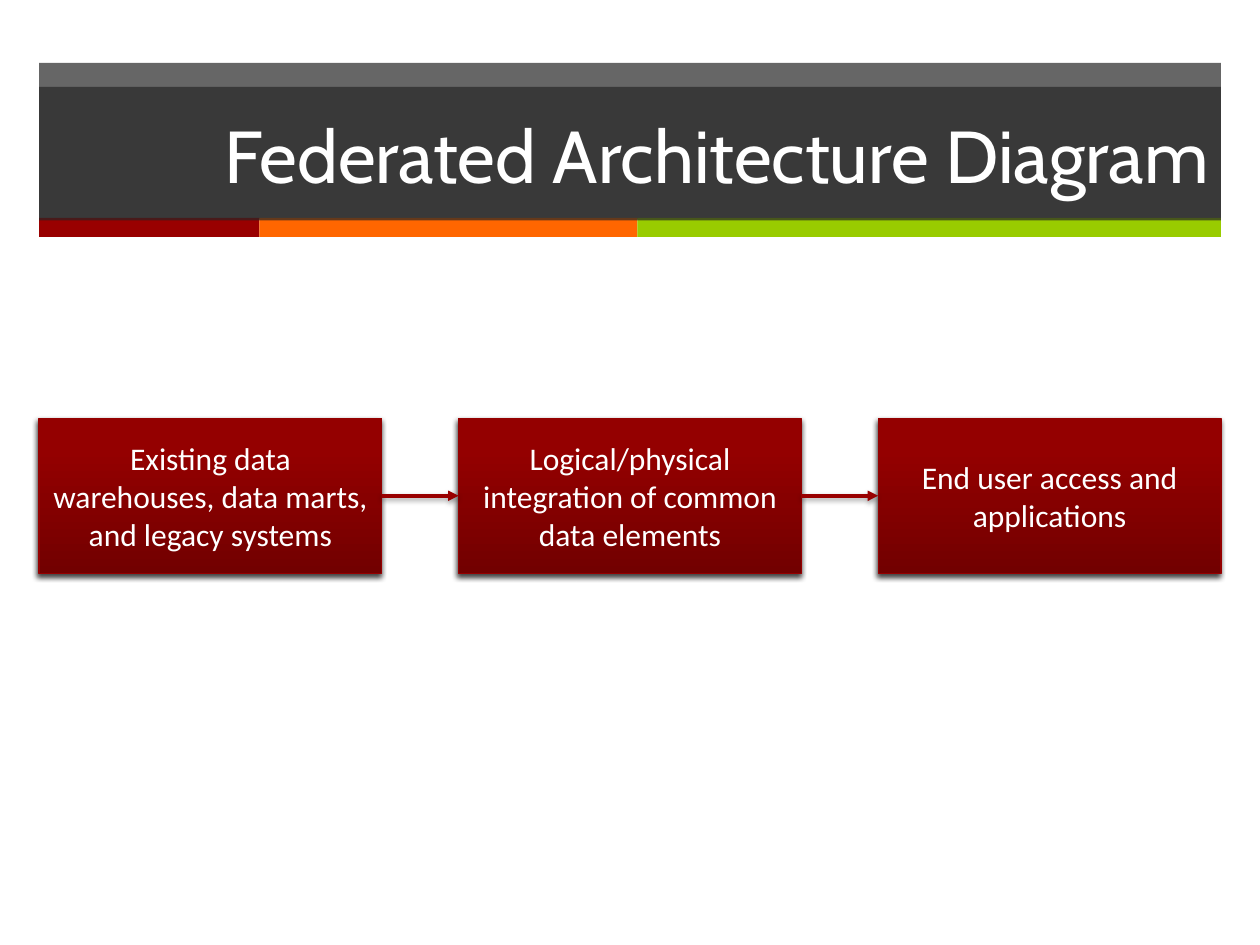
from pptx import Presentation
from pptx.dml.color import RGBColor
from pptx.enum.shapes import MSO_CONNECTOR, MSO_SHAPE
from pptx.enum.text import MSO_ANCHOR, PP_ALIGN
from pptx.oxml import parse_xml
from pptx.oxml.ns import nsdecls
from pptx.util import Inches, Pt


def paint(fill, color, alpha=100):
    """Give a fill one hex colour, with its opacity in percent."""
    fill.solid()
    fill.fore_color.rgb = RGBColor.from_string(color)
    if alpha < 100:
        color_node = fill._xPr.find(".//{*}srgbClr")
        color_node.append(parse_xml(f'<a:alpha {nsdecls("a")} val="{alpha * 1000}"/>'))


def write(shape, text, font, size, align):
    """Put white, vertically centred, wrapped text in a shape."""
    frame = shape.text_frame
    frame.text = text
    frame.word_wrap = True
    frame.vertical_anchor = MSO_ANCHOR.MIDDLE
    para = frame.paragraphs[0]
    para.alignment = align
    span = para.runs[0]
    span.font.name, span.font.size = font, Pt(size)
    span.font.color.rgb = RGBColor.from_string("FFFFFF")


SHADOW = (
    '<a:effectLst {ns}><a:outerShdw blurRad="{blur}" dist="{dist}" dir="{angle}" rotWithShape="0">'
    '<a:srgbClr val="000000"><a:alpha val="{alpha}"/></a:srgbClr></a:outerShdw></a:effectLst>'
)
BOX_SHADOW = SHADOW.format(ns=nsdecls("a"), blur=Pt(3), dist=Pt(2), angle=110 * 60000, alpha=75000)
ARROW_SHADOW = SHADOW.format(ns=nsdecls("a"), blur=Pt(3.1), dist=Pt(1.6), angle=90 * 60000, alpha=38000)
GRADIENT = (
    f'<a:gradFill {nsdecls("a")} rotWithShape="1"><a:gsLst>'
    '<a:gs pos="0"><a:srgbClr val="720000"/></a:gs>'
    '<a:gs pos="80000"><a:srgbClr val="940000"/></a:gs>'
    '<a:gs pos="100000"><a:srgbClr val="950000"/></a:gs>'
    '</a:gsLst><a:lin ang="16200000" scaled="0"/></a:gradFill>'
)

deck = Presentation()
deck.slide_width, deck.slide_height = Inches(10), Inches(7.5)
page = deck.slides.add_slide(deck.slide_layouts[5])
shapes = page.shapes
margin = 0.31
content_width = 10 - 2 * margin

# Header: a dark band, three colour strips, and the title over both
bands = [
    (margin, 0.5, content_width, 1.24, "262626", 70),
    (margin, 1.73, 1.75, 0.15, "990000", 100),
    (2.06, 1.73, 3, 0.15, "FF6600", 100),
    (5.06, 1.73, 4.63, 0.15, "99CC00", 100),
]
for left, top, width, height, color, alpha in bands:
    band = shapes.add_shape(MSO_SHAPE.RECTANGLE, *map(Inches, (left, top, width, height)))
    band.shadow.inherit = False
    band.line.fill.background()
    paint(band.fill, color, alpha)

title = shapes.title
title.left, title.top = Inches(margin), Inches(0.69)
title.width, title.height = Inches(content_width), Inches(1.06)
paint(title.fill, "262626", 70)
write(title, "Federated Architecture Diagram", "Cabin", 42, PP_ALIGN.RIGHT)
shapes._spTree.append(title._element)

# Flow: three equal boxes spread over the content width
steps = [
    "Existing data warehouses, data marts, and legacy systems",
    "Logical/physical integration of common data elements",
    "End user access and applications",
]
box_width, box_height, box_top = 2.72, 1.23, 3.32
pitch = (content_width - box_width) / (len(steps) - 1)
boxes = []
for column, step in enumerate(steps):
    box = shapes.add_shape(
        MSO_SHAPE.RECTANGLE, Inches(margin + column * pitch), Inches(box_top),
        Inches(box_width), Inches(box_height))
    box.line.color.rgb = RGBColor.from_string("950000")
    box.line.width = Pt(0.75)
    properties = box._element.spPr
    properties.insert(2, parse_xml(GRADIENT))
    properties.append(parse_xml(BOX_SHADOW))
    write(box, step, "Calibri", 18, PP_ALIGN.CENTER)
    boxes.append(box)

# Arrows join the right side of each box to the left side of the next
for source, target in zip(boxes, boxes[1:]):
    arrow = shapes.add_connector(MSO_CONNECTOR.STRAIGHT, 0, 0, 0, 0)
    arrow.begin_connect(source, 3)
    arrow.end_connect(target, 1)
    arrow.line.color.rgb = RGBColor.from_string("990000")
    arrow.line.width = Pt(2)
    arrow.line._get_or_add_ln().append(parse_xml(f'<a:tailEnd {nsdecls("a")} type="triangle"/>'))
    arrow._element.spPr.append(parse_xml(ARROW_SHADOW))

deck.save("out.pptx")
